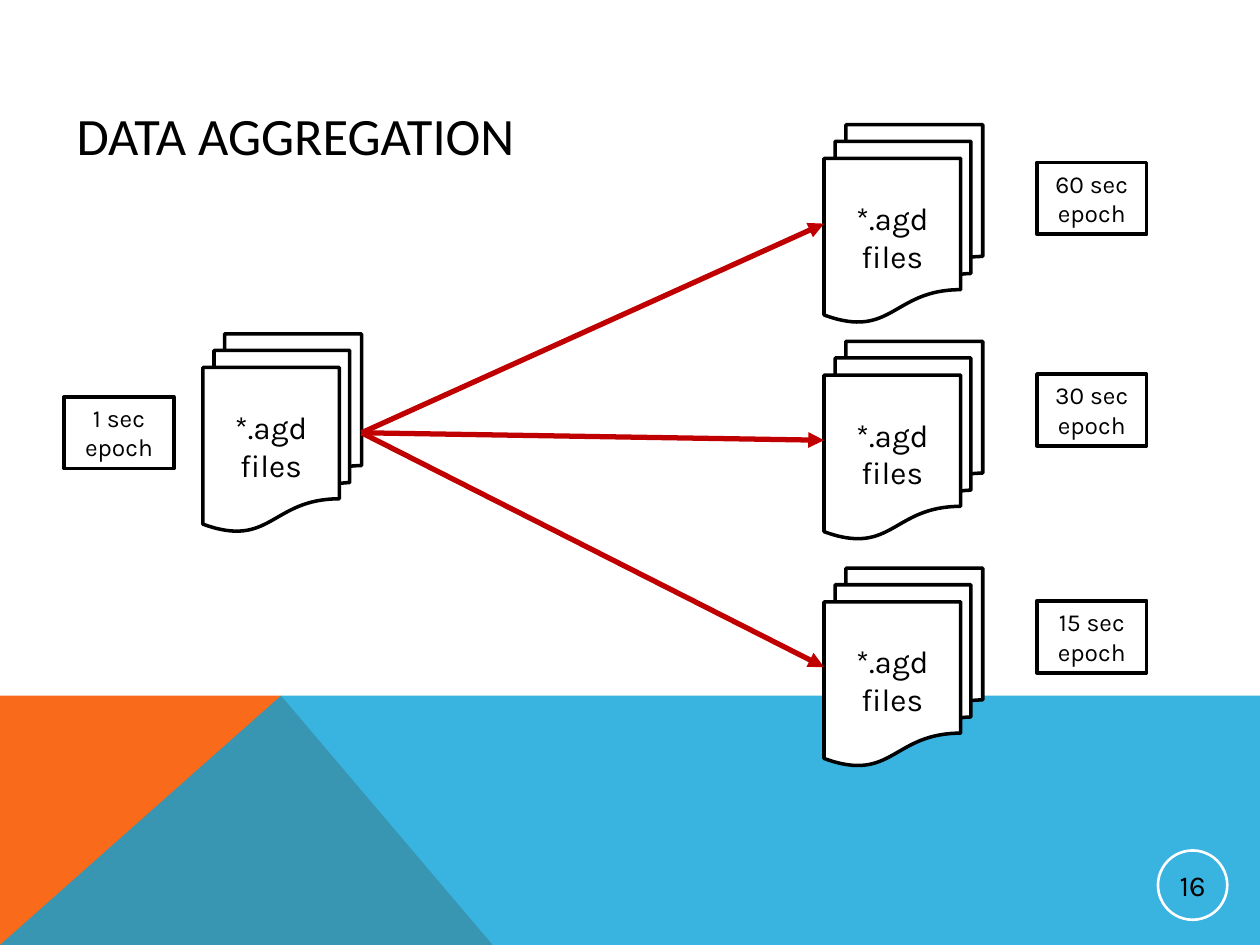
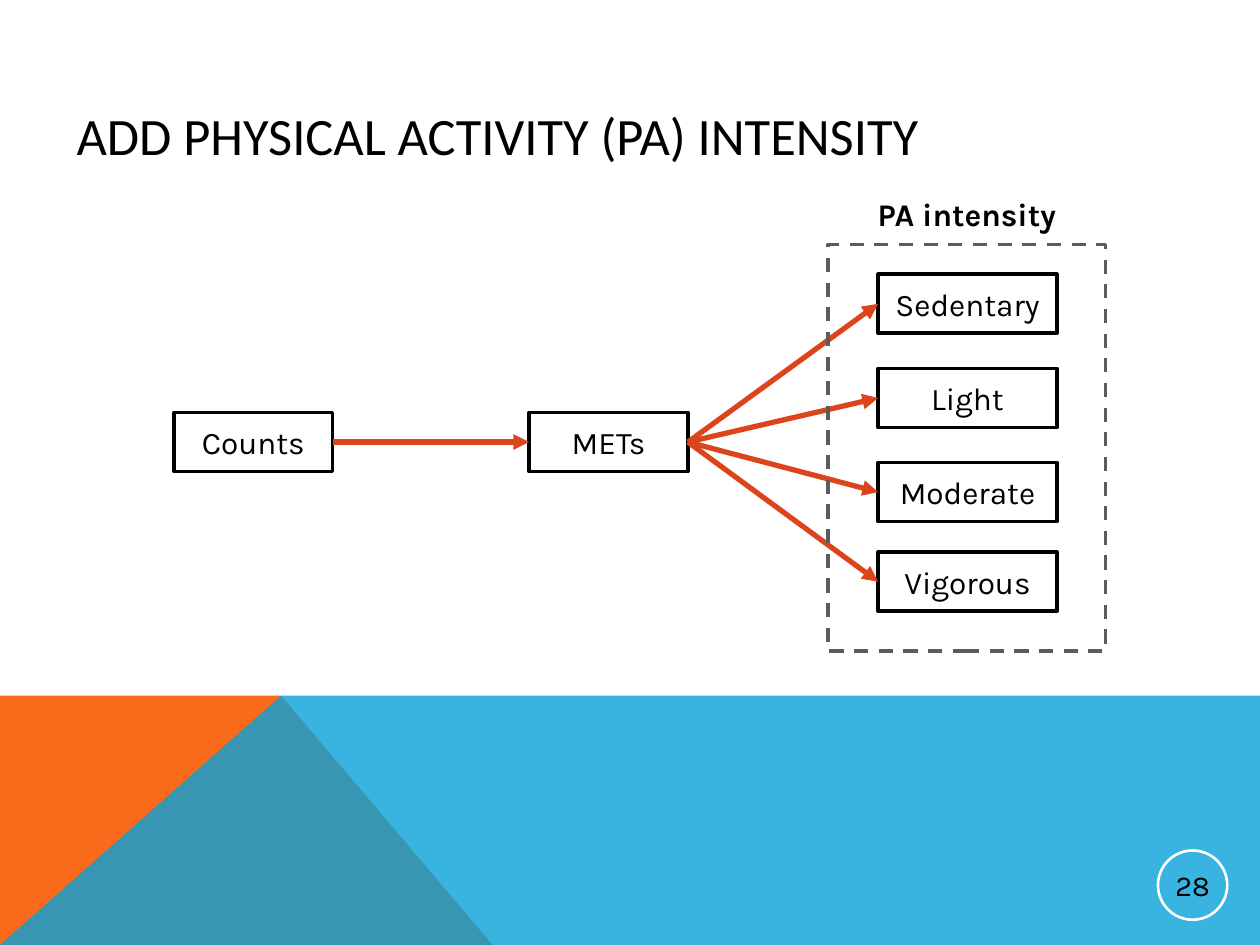
from dataclasses import dataclass

import pptx
import pptx.dml.color
import pptx.enum.dml
import pptx.enum.shapes
import pptx.enum.text
import pptx.oxml
import pptx.oxml.ns
import pptx.util
from pptx.util import Pt

SHAPES = pptx.enum.shapes.MSO_SHAPE
ALIGN = pptx.enum.text.PP_ALIGN
ANCHOR = pptx.enum.text.MSO_ANCHOR
LEFT_SITE, RIGHT_SITE = 1, 3


@dataclass(frozen=True)
class Theme:
    black: str = "000000"
    white: str = "FFFFFF"
    orange: str = "F96A1B"
    blue: str = "08A1D9"
    blue_opacity: int = 80
    dark_red: str = "C00000"
    red_orange: str = "DC451C"
    gray: str = "5A5B5D"
    title_font: str = "Calibri"
    body_font: str = "Karla"
    title_size: float = 30
    body_size: float = 18
    number_size: float = 16.5
    label_size: float = 14
    thin_line: float = 1.5
    line: float = 2
    label_line: float = 2.25
    arrow_line: float = 3


def rgb(color):
    return pptx.dml.color.RGBColor.from_string(color)


def write_text(shape, text, *, font, size, color, bold=False, align=ALIGN.CENTER,
               anchor=ANCHOR.MIDDLE, inset=None):
    """Fill the shape with text, one paragraph for each line."""
    frame = shape.text_frame
    frame.word_wrap = True
    frame.vertical_anchor = anchor
    if inset is not None:
        frame.margin_left = frame.margin_right = Pt(inset)
        frame.margin_top = frame.margin_bottom = Pt(inset)
    frame.text = text
    for paragraph in frame.paragraphs:
        paragraph.alignment = align
        paragraph.font.name = font
        paragraph.font.size = Pt(size)
        paragraph.font.bold = bold
        paragraph.font.color.rgb = rgb(color)


class Deck:
    """Holds the theme and the slide being drawn; lengths are in points."""

    width, height = 720, 540
    band_top = 397.6

    def __init__(self, theme):
        self.theme = theme
        self.presentation = pptx.Presentation()
        self.presentation.slide_width = Pt(self.width)
        self.presentation.slide_height = Pt(self.height)
        self.slide = None

    def add_slide(self, title, number):
        blank = self.presentation.slide_layouts[6]
        self.slide = self.presentation.slides.add_slide(blank)
        self.add_band()
        self.add_number(number)
        self.add_text(36.7, 31.7, 648, 90, title, font=self.theme.title_font,
                      size=self.theme.title_size, align=ALIGN.LEFT)

    def add_band(self):
        top, bottom, peak = self.band_top, self.height, 160.6
        self.add_polygon([(0, bottom), (0, top), (peak, top), (281.5, bottom)],
                         self.theme.orange)
        self.add_polygon([(0, bottom), (peak, top), (self.width, top),
                          (self.width, bottom)],
                         self.theme.blue, self.theme.blue_opacity)

    def add_polygon(self, points, color, opacity=100):
        corners = [(Pt(x), Pt(y)) for x, y in points]
        builder = self.slide.shapes.build_freeform(*corners[0])
        builder.add_line_segments(corners[1:], close=True)
        shape = builder.convert_to_shape()
        shape.shadow.inherit = False
        shape.line.fill.background()
        shape.fill.solid()
        shape.fill.fore_color.rgb = rgb(color)
        if opacity < 100:
            color_element = shape._element.spPr.find(".//" + pptx.oxml.ns.qn("a:srgbClr"))
            color_element.append(pptx.oxml.parse_xml(
                f'<a:alpha {pptx.oxml.ns.nsdecls("a")} val="{opacity * 1000}"/>'))

    def add_outline(self, kind, left, top, width, height, *, color, weight,
                    fill=None, dash=None):
        shape = self.slide.shapes.add_shape(kind, Pt(left), Pt(top), Pt(width), Pt(height))
        shape.shadow.inherit = False
        if fill:
            shape.fill.solid()
            shape.fill.fore_color.rgb = rgb(fill)
        else:
            shape.fill.background()
        shape.line.color.rgb = rgb(color)
        shape.line.width = Pt(weight)
        if dash:
            shape.line.dash_style = dash
        return shape

    def add_text(self, left, top, width, height, text, **text_format):
        box = self.slide.shapes.add_textbox(Pt(left), Pt(top), Pt(width), Pt(height))
        write_text(box, text, color=self.theme.black, **text_format)

    def add_number(self, number):
        circle = self.add_outline(SHAPES.OVAL, 661.7, 486, 39.6, 39.6,
                                  color=self.theme.white, weight=self.theme.thin_line)
        write_text(circle, str(number), font=self.theme.body_font,
                   size=self.theme.number_size, color=self.theme.black, inset=0.7)

    def add_box(self, left, top, width, text):
        box = self.add_outline(SHAPES.RECTANGLE, left, top, width, 33.8,
                               color=self.theme.black, weight=self.theme.line)
        write_text(box, text, font=self.theme.body_font,
                   size=self.theme.body_size, color=self.theme.black)
        return box

    def add_files(self, left, top):
        files = self.add_outline(SHAPES.FLOWCHART_MULTIDOCUMENT, left, top, 90.7, 113,
                                 color=self.theme.black, weight=self.theme.line,
                                 fill=self.theme.white)
        write_text(files, "*.agd\nfiles", font=self.theme.body_font,
                   size=self.theme.body_size, color=self.theme.black)
        return files

    def add_epoch(self, left, top, seconds):
        label = self.add_outline(SHAPES.RECTANGLE, left, top, 62.6, 41,
                                 color=self.theme.black, weight=self.theme.label_line)
        write_text(label, f"{seconds} sec epoch", font=self.theme.body_font,
                   size=self.theme.label_size, color=self.theme.black, anchor=ANCHOR.TOP)
        label.text_frame.auto_size = pptx.enum.text.MSO_AUTO_SIZE.SHAPE_TO_FIT_TEXT

    def add_arrow(self, source, target, color):
        """Join the right side of source to the left side of target."""
        connector = self.slide.shapes.add_connector(
            pptx.enum.shapes.MSO_CONNECTOR.STRAIGHT, 0, 0, 0, 0)
        connector.begin_connect(source, RIGHT_SITE)
        connector.end_connect(target, LEFT_SITE)
        connector.line.color.rgb = rgb(color)
        connector.line.width = Pt(self.theme.arrow_line)
        namespace = pptx.oxml.ns.nsdecls("a")
        properties = connector._element.spPr
        properties.find(pptx.oxml.ns.qn("a:ln")).append(
            pptx.oxml.parse_xml(f'<a:tailEnd {namespace} type="triangle"/>'))
        properties.append(pptx.oxml.parse_xml(f"<a:effectLst {namespace}/>"))


def draw_aggregation(deck):
    deck.add_slide("DATA AGGREGATION", 16)
    raw_files = deck.add_files(115.9, 190.8)
    deck.add_epoch(36.7, 226.8, 1)
    for seconds, files_top, label_top in [(60, 71.3, 92.9), (15, 324.7, 343.4),
                                          (30, 195.1, 213.8)]:
        aggregated_files = deck.add_files(470.9, files_top)
        deck.add_epoch(592.6, label_top, seconds)
        deck.add_arrow(raw_files, aggregated_files, deck.theme.dark_red)


def draw_intensity(deck):
    theme = deck.theme
    deck.add_slide("ADD PHYSICAL ACTIVITY (PA) INTENSITY", 28)
    counts = deck.add_box(99.4, 235.7, 90.7, "Counts")
    mets = deck.add_box(302.4, 235.7, 90.7, "METs")
    levels = [deck.add_box(501.8, top, 102.2, name)
              for name, top in [("Sedentary", 156.7), ("Light", 210.5),
                                ("Moderate", 264.3), ("Vigorous", 315.5)]]
    deck.add_arrow(counts, mets, theme.red_orange)
    for level in levels:
        deck.add_arrow(mets, level, theme.red_orange)
    frame_left, frame_width = 473.2, 158.6
    deck.add_text(frame_left, 105.4, frame_width, 33.8, "PA intensity",
                  font=theme.body_font, size=theme.body_size, bold=True)
    deck.add_outline(SHAPES.RECTANGLE, frame_left, 139.6, frame_width, 232.4,
                     color=theme.gray, weight=theme.line,
                     dash=pptx.enum.dml.MSO_LINE.DASH)


def main():
    deck = Deck(Theme())
    draw_aggregation(deck)
    draw_intensity(deck)
    deck.presentation.save("out.pptx")


if __name__ == "__main__":
    main()
